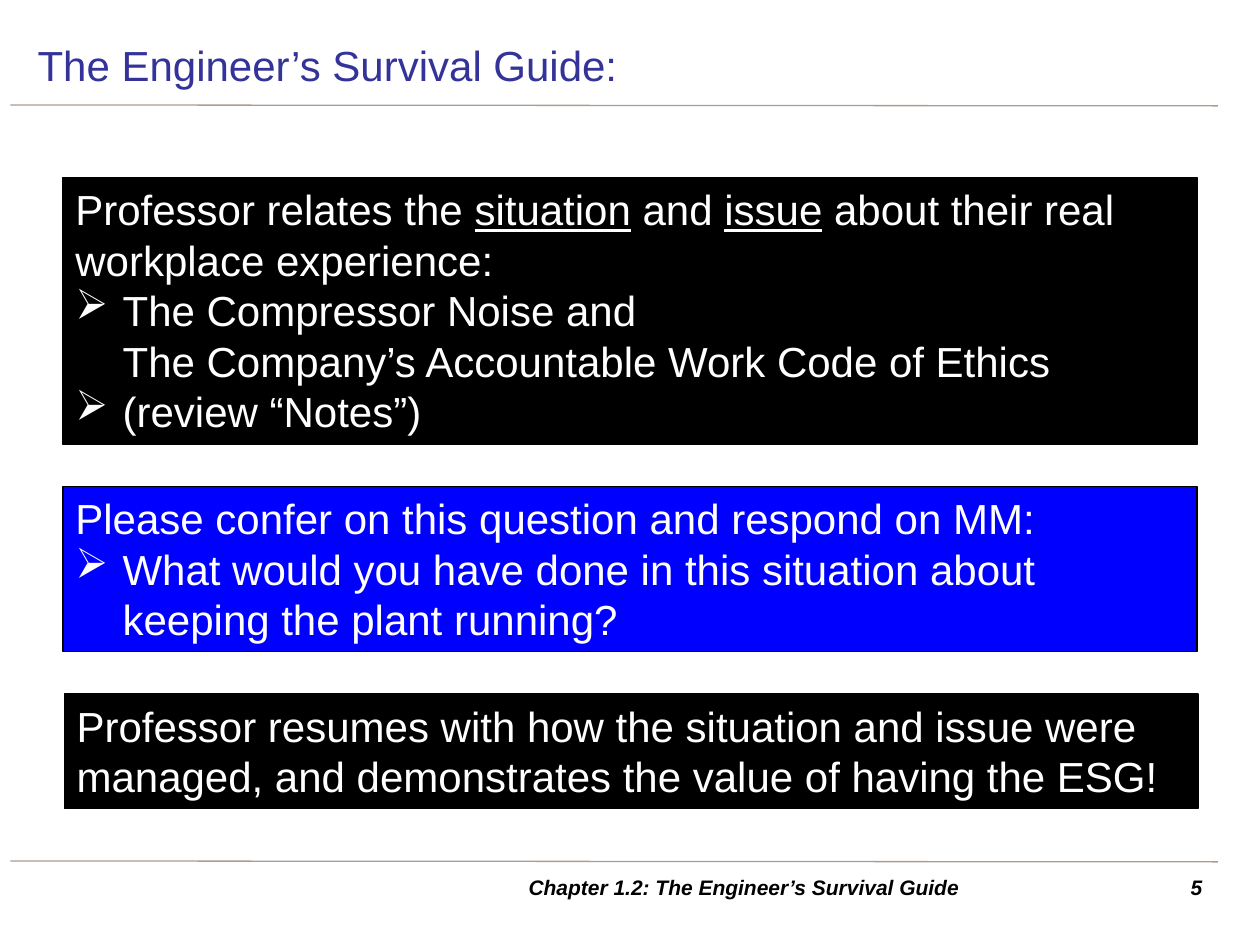
from lxml.etree import SubElement
from pptx import Presentation
from pptx.dml.color import RGBColor
from pptx.enum.shapes import MSO_CONNECTOR, MSO_SHAPE
from pptx.enum.text import MSO_ANCHOR, MSO_AUTO_SIZE, PP_ALIGN
from pptx.oxml.ns import qn
from pptx.util import Pt

BLACK = RGBColor(0x00, 0x00, 0x00)
WHITE = RGBColor(0xFF, 0xFF, 0xFF)
BLUE = RGBColor(0x00, 0x00, 0xFF)
TITLE_BLUE = RGBColor(0x33, 0x33, 0x99)
RULE_TAUPE = RGBColor(0xAA, 0x9C, 0x8F)

BULLET_INDENT = Pt(27)

PANELS = [
    (36, 101.5, 152.6, BLACK,
     "Professor relates the _situation_ and _issue_ about their real workplace experience:",
     ["The Compressor Noise and \vThe Company’s Accountable Work Code of Ethics",
      "(review “Notes”)"]),
    (36, 278, 94.3, BLUE,
     "Please confer on this question and respond on MM:",
     ["What would you have done in this situation about keeping the plant running?"]),
    (36.7, 396.5, 65.5, BLACK,
     "Professor resumes with how the situation and issue were managed, "
     "and demonstrates the value of having the ESG!",
     []),
]


def style(paragraph, size, color, emphasis=False, align=PP_ALIGN.LEFT):
    paragraph.alignment = align
    font = paragraph.font
    font.name = "Arial"
    font.size = Pt(size)
    font.color.rgb = color
    font.bold = font.italic = emphasis


def add_rule(slide, top):
    rule = slide.shapes.add_connector(
        MSO_CONNECTOR.STRAIGHT, Pt(6), Pt(top), Pt(696), Pt(top + 0.5))
    rule.line.color.rgb = RULE_TAUPE
    rule.line.width = Pt(0.75)
    SubElement(rule._element.spPr, qn("a:effectLst"))


def add_label(slide, left, top, width, height, text, anchor, **look):
    label = slide.shapes.add_textbox(Pt(left), Pt(top), Pt(width), Pt(height))
    frame = label.text_frame
    frame.word_wrap = True
    frame.vertical_anchor = anchor
    frame.text = text
    style(frame.paragraphs[0], **look)


def write_lead(paragraph, text):
    for index, piece in enumerate(text.split("_")):
        run = paragraph.add_run()
        run.text = piece
        if index % 2:
            run.font.underline = True
    style(paragraph, 24, WHITE)


def write_bullet(paragraph, text):
    paragraph.text = text
    properties = paragraph._p.get_or_add_pPr()
    properties.set("marL", str(BULLET_INDENT))
    properties.set("indent", str(-BULLET_INDENT))
    SubElement(properties, qn("a:buChar"), char="➢")
    style(paragraph, 24, WHITE)


def add_panel(slide, left, top, height, color, lead, bullets):
    panel = slide.shapes.add_shape(
        MSO_SHAPE.RECTANGLE, Pt(left), Pt(top), Pt(648), Pt(height))
    panel.shadow.inherit = False
    panel.fill.solid()
    panel.fill.fore_color.rgb = color
    panel.line.color.rgb = BLACK
    panel.line.width = Pt(0.75)
    frame = panel.text_frame
    frame.word_wrap = True
    frame.auto_size = MSO_AUTO_SIZE.SHAPE_TO_FIT_TEXT
    frame.vertical_anchor = MSO_ANCHOR.TOP
    write_lead(frame.paragraphs[0], lead)
    for bullet in bullets:
        write_bullet(frame.add_paragraph(), bullet)


def main():
    presentation = Presentation()
    presentation.slide_width = Pt(720)
    presentation.slide_height = Pt(540)
    slide = presentation.slides.add_slide(presentation.slide_layouts[6])

    for top in (60, 492):
        add_rule(slide, top)
    add_label(slide, 14.4, 17.3, 680.4, 39.6, "The Engineer’s Survival Guide:",
              MSO_ANCHOR.MIDDLE, size=24, color=TITLE_BLUE)
    add_label(slide, 652.3, 496, 41.8, 22.3, "5", MSO_ANCHOR.TOP,
              size=12, color=BLACK, emphasis=True, align=PP_ALIGN.RIGHT)
    add_label(slide, 212.4, 496, 425.5, 22.3,
              "Chapter 1.2: The Engineer’s Survival Guide", MSO_ANCHOR.MIDDLE,
              size=12, color=BLACK, emphasis=True, align=PP_ALIGN.CENTER)
    for panel in PANELS:
        add_panel(slide, *panel)

    presentation.save("out.pptx")


if __name__ == "__main__":
    main()
